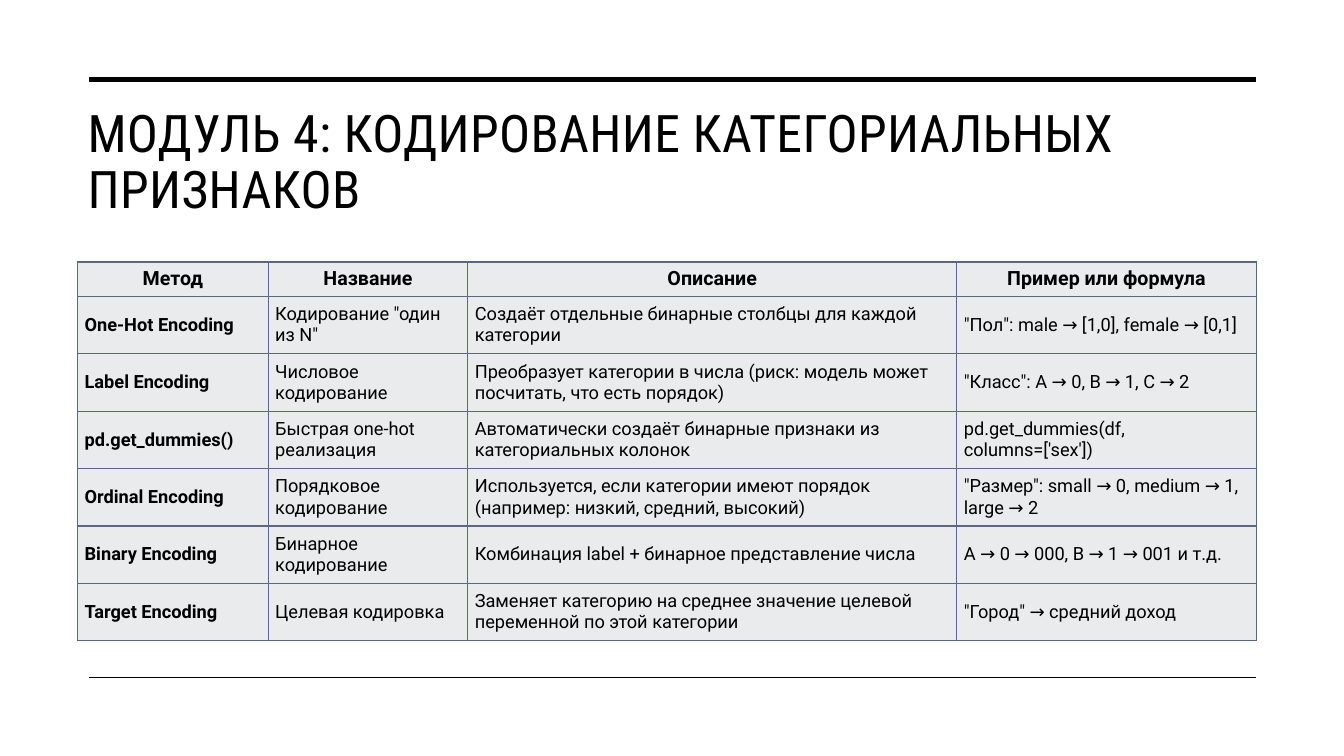
import pptx
import pptx.dml.color
import pptx.enum.shapes
import pptx.enum.text
import pptx.oxml
import pptx.oxml.ns
import pptx.util
from lxml import etree

Inches = pptx.util.Inches
Pt = pptx.util.Pt
RGBColor = pptx.dml.color.RGBColor
Anchor = pptx.enum.text.MSO_ANCHOR
Align = pptx.enum.text.PP_ALIGN
qn = pptx.oxml.ns.qn

BLACK = RGBColor(0x00, 0x00, 0x00)
CELL_FILL = RGBColor(0xEA, 0xEB, 0xED)
BORDER = RGBColor(0x59, 0x67, 0x81)

TITLE = "МОДУЛЬ 4: КОДИРОВАНИЕ КАТЕГОРИАЛЬНЫХ ПРИЗНАКОВ"
COLUMN_WIDTHS = [1.89, 1.98, 4.85, 2.97]
HEADER_HEIGHT, ROW_HEIGHT = 0.34, 0.57
ENCODINGS = [
    ["Метод", "Название", "Описание", "Пример или формула"],
    ["One-Hot Encoding", 'Кодирование "один из N"',
     "Создаёт отдельные бинарные столбцы для каждой категории",
     '"Пол": male → [1,0], female → [0,1]'],
    ["Label Encoding", "Числовое кодирование",
     "Преобразует категории в числа (риск: модель может посчитать, что есть порядок)",
     '"Класс": A → 0, B → 1, C → 2'],
    ["pd.get_dummies()", "Быстрая one-hot реализация",
     "Автоматически создаёт бинарные признаки из категориальных колонок",
     "pd.get_dummies(df, columns=['sex'])"],
    ["Ordinal Encoding", "Порядковое кодирование",
     "Используется, если категории имеют порядок (например: низкий, средний, высокий)",
     '"Размер": small → 0, medium → 1, large → 2'],
    ["Binary Encoding", "Бинарное кодирование",
     "Комбинация label + бинарное представление числа",
     "A → 0 → 000, B → 1 → 001 и т.д."],
    ["Target Encoding", "Целевая кодировка",
     "Заменяет категорию на среднее значение целевой переменной по этой категории",
     '"Город" → средний доход'],
]


class SlideBuilder:
    title_font = "Roboto Condensed"
    body_font = "Roboto"

    def __init__(self, slide):
        self.slide = slide

    def add_run(self, paragraph, text, font, size, bold=False):
        run = paragraph.add_run()
        run.text = text
        run.font.name = font
        run.font.size = Pt(size)
        run.font.bold = bold
        run.font.color.rgb = BLACK
        return run

    def add_title(self, text, left, top, width, height):
        box = self.slide.shapes.add_textbox(
            Inches(left), Inches(top), Inches(width), Inches(height))
        frame = box.text_frame
        frame.word_wrap = True
        frame.vertical_anchor = Anchor.MIDDLE
        paragraph = frame.paragraphs[0]
        paragraph.line_spacing = 0.9
        run = self.add_run(paragraph, text, self.title_font, 37)
        run.font._element.set("spc", "30")

    def add_rule(self, left, right, y, weight):
        """Draw a horizontal black line."""
        rule = self.slide.shapes.add_connector(
            pptx.enum.shapes.MSO_CONNECTOR.STRAIGHT,
            Inches(left), Inches(y), Inches(right), Inches(y))
        rule.line.color.rgb = BLACK
        rule.line.width = Pt(weight)
        etree.SubElement(rule._element.spPr, qn("a:effectLst"))

    def add_table(self, rows, left, top):
        heights = [HEADER_HEIGHT] + [ROW_HEIGHT] * (len(rows) - 1)
        frame = self.slide.shapes.add_table(
            len(rows), len(COLUMN_WIDTHS), Inches(left), Inches(top),
            Inches(sum(COLUMN_WIDTHS)), Inches(sum(heights)))
        table = frame.table
        table.first_row = table.horz_banding = False
        for column, width in zip(table.columns, COLUMN_WIDTHS):
            column.width = Inches(width)
        for row, height in zip(table.rows, heights):
            row.height = Inches(height)
        for row_index, texts in enumerate(rows):
            for column_index, text in enumerate(texts):
                self.fill_cell(table.cell(row_index, column_index), text,
                               row_index == 0, column_index == 0)

    def fill_cell(self, cell, text, is_header, is_method):
        cell.fill.solid()
        cell.fill.fore_color.rgb = CELL_FILL
        cell.vertical_anchor = Anchor.MIDDLE
        cell.margin_left = cell.margin_right = Inches(0.07)
        cell.margin_top = cell.margin_bottom = Inches(0.03)
        paragraph = cell.text_frame.paragraphs[0]
        paragraph.alignment = Align.CENTER if is_header else Align.LEFT
        self.add_run(paragraph, text, self.body_font,
                     14 if is_header else 13, is_header or is_method)
        self.add_borders(cell)

    def add_borders(self, cell):
        properties = cell._tc.get_or_add_tcPr()
        for position, side in enumerate(("lnL", "lnR", "lnT", "lnB")):
            line = etree.Element(qn(f"a:{side}"), w=str(Pt(1)))
            fill = etree.SubElement(line, qn("a:solidFill"))
            etree.SubElement(fill, qn("a:srgbClr"), val=str(BORDER))
            properties.insert(position, line)


def main():
    presentation = pptx.Presentation()
    presentation.slide_width = Inches(13.33)
    presentation.slide_height = Inches(7.5)
    slide = presentation.slides.add_slide(presentation.slide_layouts[6])
    builder = SlideBuilder(slide)
    builder.add_title(TITLE, 0.77, 0.99, 11.69, 1.26)
    builder.add_rule(0.88, 12.46, 0.79, 3.5)
    builder.add_rule(0.88, 12.46, 6.72, 1)
    builder.add_table(ENCODINGS, 0.77, 2.6)
    presentation.save("out.pptx")


if __name__ == "__main__":
    main()
